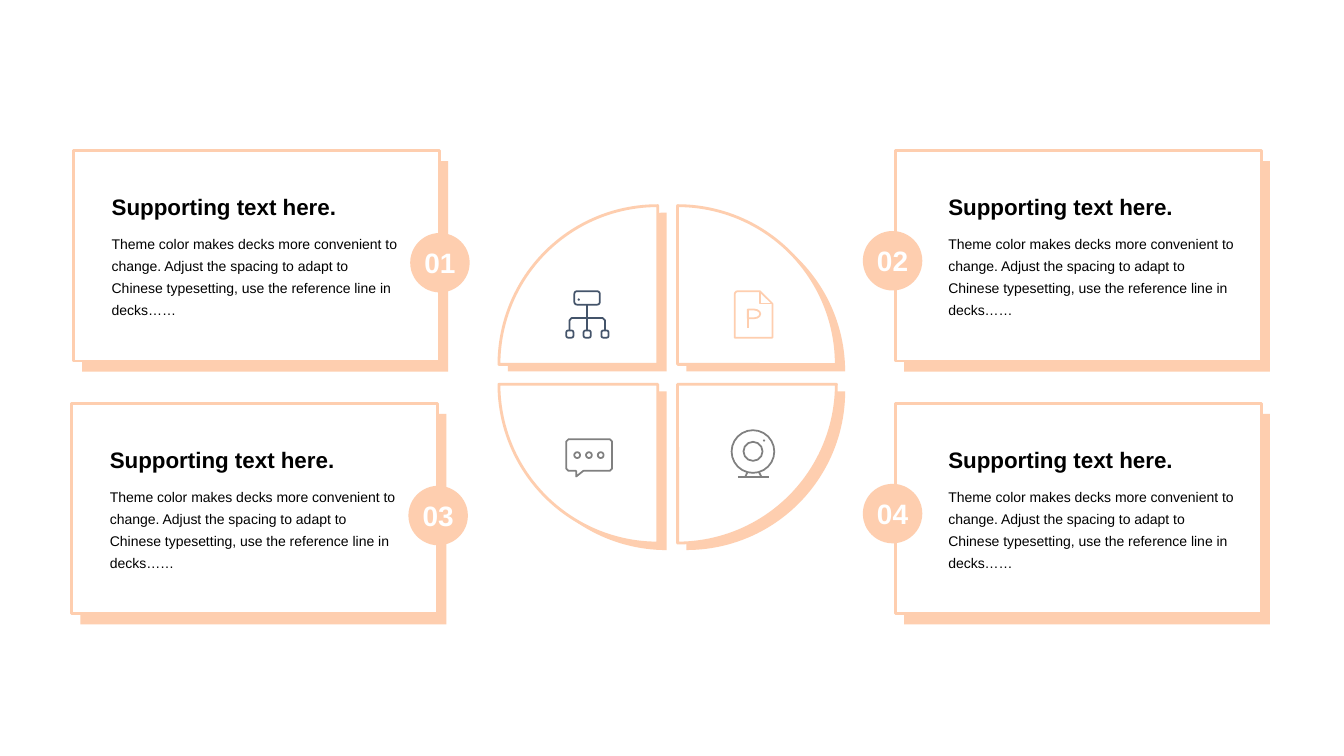
from lxml import etree
from pptx import Presentation
from pptx.dml.color import RGBColor
from pptx.enum import shapes as kinds, text as styles
from pptx.oxml.ns import qn
from pptx.util import Pt

# Content
HEADING = "Supporting text here."
BODY = ("Theme color makes decks more convenient to change. Adjust the spacing to adapt "
        "to Chinese typesetting, use the reference line in decks……")

PEACH = RGBColor(0xFE, 0xCE, 0xAF)
WHITE = RGBColor(0xFF, 0xFF, 0xFF)
BLACK = RGBColor(0, 0, 0)
NAVY = RGBColor(0x44, 0x54, 0x6A)
GRAY = RGBColor(0x80, 0x80, 0x80)

# Number, card left, card top, text offset, badge offset (x, y)
CARDS = [
    ("01", 52.4, 107.4, 20.3, (240.6, 59)),
    ("02", 639.5, 107.4, 30.8, (-23.2, 57.6)),
    ("03", 51.1, 288, 20.3, (240.6, 59)),
    ("04", 639.5, 288, 30.8, (-23.2, 57.6)),
]
CARD_SIZE, CARD_SHADOW = (261.4, 150.5), (6.3, 7.6)
BADGE = 42.5

# Column, row and start angle of each quarter
QUARTERS = [(0, 0, 180), (1, 0, 270), (1, 1, 0), (0, 1, 90)]
WHEEL_LEFT, WHEEL_TOP, WHEEL, WHEEL_GAP = 356.4, 146.9, 226.8, 14.2
WHEEL_SHADOW = (6.3, 5)

PRESET = kinds.MSO_SHAPE
STROKE = 1.25

# Icons: left, top, colour, then parts measured from that corner.
# Outlines are (preset, box, adjustments), dots are boxes, strokes are (points, closed).
ICONS = [
    dict(at=(403.9, 207.4), color=NAVY,
         outlines=[(PRESET.ROUNDED_RECTANGLE, (6.4, 0.6, 18.2, 9.6), [0.2])]
         + [(PRESET.ROUNDED_RECTANGLE, (x, 28.7, 5.1, 5.1), [0.25]) for x in (0.6, 13, 25.7)],
         dots=[(8.7, 5.8, 1.6, 1.6)],
         strokes=[([(15.5, 10.2), (15.5, 28.7)], False),
                  ([(2.9, 28.7), (2.9, 21.5), (4.4, 19.8), (26.7, 19.8), (28.3, 21.5),
                    (28.3, 28.7)], False)]),
    dict(at=(524.2, 207.4), color=PEACH,
         outlines=[(PRESET.SNIP_ROUND_RECTANGLE, (0.6, 0.6, 26.9, 33.2), [0.08, 0.33]),
                   (PRESET.FLOWCHART_DELAY, (10, 13.7, 8.9, 6.2), [])],
         dots=[],
         strokes=[([(18.6, 0.6), (18.6, 9.4), (27.5, 9.4)], False),
                  ([(10, 13.7), (10, 26.6)], False)]),
    dict(at=(403.9, 313.2), color=GRAY,
         outlines=[(PRESET.OVAL, (x, 9.8, 4.2, 4.2), []) for x in (6.3, 14.7, 23.1)],
         dots=[],
         strokes=[([(2.2, 0.6), (31.7, 0.6), (33.3, 2.2), (33.3, 21.6), (31.7, 23.2),
                    (12.8, 23.2), (7.7, 27.2), (7.7, 23.2), (2.2, 23.2), (0.6, 21.6),
                    (0.6, 2.2)], True)]),
    dict(at=(522, 306.7), color=GRAY,
         outlines=[(PRESET.OVAL, (0.6, 0.6, 30.5, 30.5), []),
                   (PRESET.OVAL, (9.1, 8.9, 13.6, 13.6), [])],
         dots=[(23, 7.2, 1.5, 1.5)],
         strokes=[([(5, 33.8), (27.4, 33.8)], False),
                  ([(11.9, 30.6), (10.4, 33.8)], False),
                  ([(20.2, 30.6), (21.8, 33.8)], False)]),
]

deck = Presentation()
deck.slide_width, deck.slide_height = Pt(960), Pt(540)
slide = deck.slides.add_slide(deck.slide_layouts[6])
canvas = slide.shapes


def paint(part, fill=None, line=None, weight=2):
    part.shadow.inherit = False
    if fill is None:
        part.fill.background()
    else:
        part.fill.solid()
        part.fill.fore_color.rgb = fill
    if line is None:
        part.line.fill.background()
    else:
        part.line.color.rgb = line
        part.line.width = Pt(weight)


def add_preset(preset, box, adjustments=(), **look):
    part = canvas.add_shape(preset, *map(Pt, box))
    for index, value in enumerate(adjustments):
        part.adjustments[index] = value
    paint(part, **look)
    return part


def add_shadowed(preset, left, top, size, shadow, adjustments=()):
    dx, dy = shadow
    add_preset(preset, (left + dx, top + dy, *size), adjustments, fill=PEACH)
    add_preset(preset, (left, top, *size), adjustments, fill=WHITE, line=PEACH)


def write(part, words, color, frame_format, font_format, paragraph_format):
    frame = part.text_frame
    paragraph = frame.paragraphs[0]
    paragraph.text = words
    font = paragraph.runs[0].font
    font.color.rgb = color
    for target, values in ((frame, frame_format), (paragraph, paragraph_format),
                           (font, {"name": "Arial", **font_format})):
        for key, value in values.items():
            setattr(target, key, value)


def add_stroke(points, closed, color):
    points = [(Pt(x), Pt(y)) for x, y in points]
    if len(points) == 2:
        stroke = canvas.add_connector(kinds.MSO_CONNECTOR.STRAIGHT, *points[0], *points[1])
        stroke.line.color.rgb = color
        stroke.line.width = Pt(STROKE)
        etree.SubElement(stroke.element.spPr, qn("a:effectLst"))
    else:
        builder = canvas.build_freeform(*points[0])
        builder.add_line_segments(points[1:], close=closed)
        paint(builder.convert_to_shape(), line=color, weight=STROKE)


# Wheel quarters, shadows beneath
for column, row, start in QUARTERS:
    angles = [degree % 360 * 0.6 for degree in (start, start + 90)]
    add_shadowed(PRESET.PIE, WHEEL_LEFT + column * WHEEL_GAP, WHEEL_TOP + row * WHEEL_GAP,
                 (WHEEL, WHEEL), WHEEL_SHADOW, angles)

# Cards with heading, body and number badge
ANCHOR = styles.MSO_ANCHOR
GROW = styles.MSO_AUTO_SIZE.SHAPE_TO_FIT_TEXT
INSETS = {f"margin_{side}": Pt(8.6) for side in ("left", "top", "right", "bottom")}
for number, left, top, indent, (badge_x, badge_y) in CARDS:
    add_shadowed(PRESET.RECTANGLE, left, top, CARD_SIZE, CARD_SHADOW)
    for words, drop, height, anchor, font_format, paragraph_format in (
        (HEADING, 26.6, 26.6, ANCHOR.BOTTOM, {"size": Pt(16), "bold": True}, {}),
        (BODY, 54, 68.4, ANCHOR.TOP, {"size": Pt(10)}, {"line_spacing": 1.3}),
    ):
        block = canvas.add_textbox(Pt(left + indent), Pt(top + drop), Pt(221), Pt(height))
        write(block, words, BLACK,
              {"word_wrap": True, "auto_size": GROW, "vertical_anchor": anchor},
              font_format, paragraph_format)
    badge = add_preset(PRESET.OVAL, (left + badge_x, top + badge_y, BADGE, BADGE), fill=PEACH)
    write(badge, number, WHITE,
          {"word_wrap": False, "vertical_anchor": ANCHOR.MIDDLE, **INSETS},
          {"size": Pt(20), "bold": True}, {"alignment": styles.PP_ALIGN.CENTER})

# Icons
for icon in ICONS:
    (left, top), color = icon["at"], icon["color"]
    for preset, (x, y, *size), adjustments in icon["outlines"]:
        add_preset(preset, (left + x, top + y, *size), adjustments, line=color, weight=STROKE)
    for x, y, *size in icon["dots"]:
        add_preset(PRESET.OVAL, (left + x, top + y, *size), fill=color)
    for points, closed in icon["strokes"]:
        add_stroke([(left + x, top + y) for x, y in points], closed, color)

deck.save("out.pptx")
